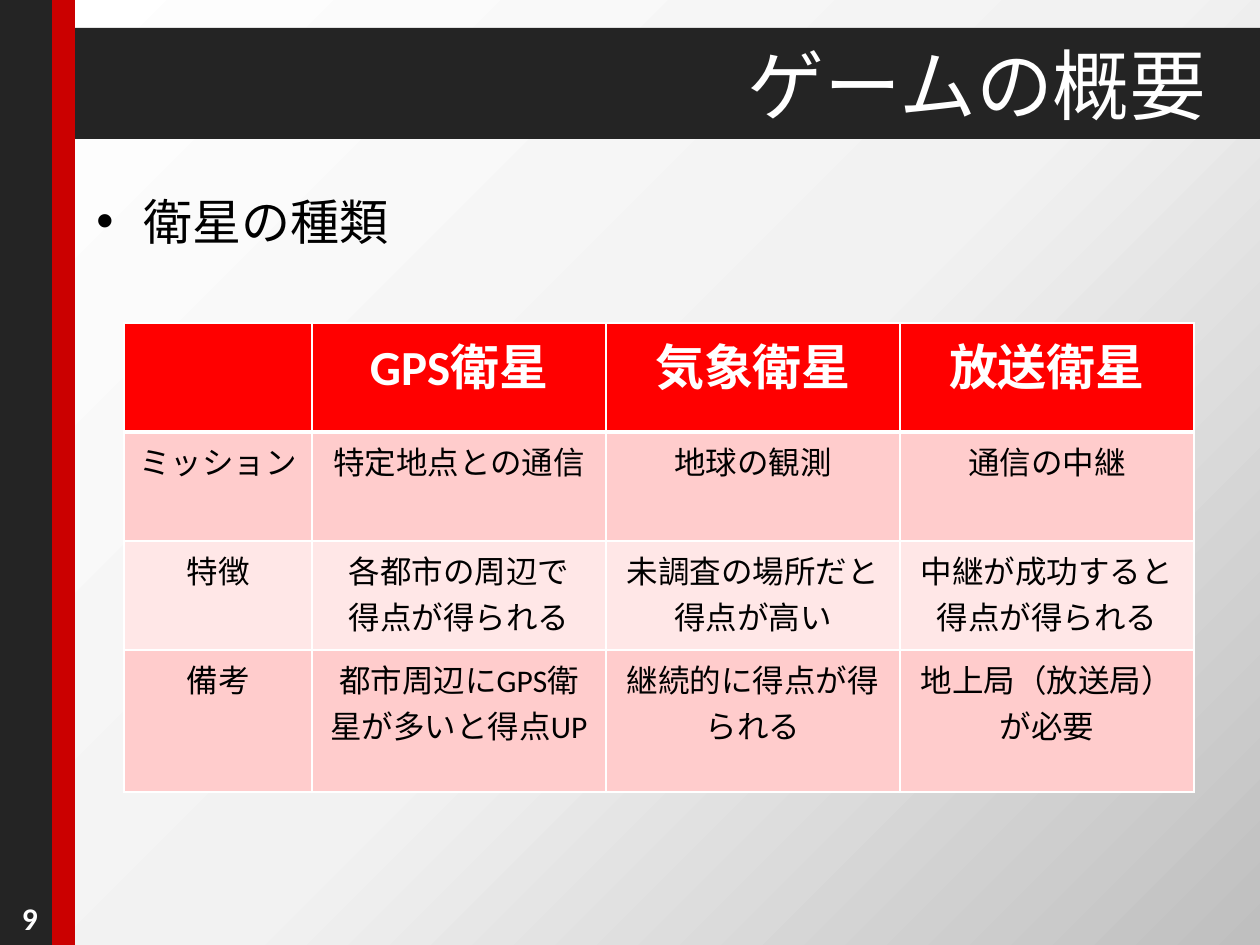
"""Build a slide that compares the satellite types of a game in a table."""
import pptx
import pptx.dml.color
import pptx.enum.shapes
import pptx.enum.text
import pptx.oxml
import pptx.oxml.ns
import pptx.util

PX = 914400 // 126
FONT = "Calibri"
ALIGN = pptx.enum.text.PP_ALIGN
ANCHOR = pptx.enum.text.MSO_ANCHOR
COLORS = {
    "dark": "242424", "red": "CB0000", "white": "FFFFFF", "black": "000000",
    "header": "FF0000", "odd": "FFCCCC", "even": "FFE7E7",
}
BACKGROUND_STOPS = [(0, "FFFFFF"), (53, "F2F2F2"), (100, "BFBFBF")]
BARS = [
    ((-1, 28, 1261, 111), "dark"),
    ((23, -1, 52, 947), "red"),
    ((-1, 0, 53, 946), "dark"),
]
TITLE = "ゲームの概要"
TITLE_BOX = (83, 28, 1137, 111)
BULLET = "衛星の種類"
BULLET_BOX = (84, 185, 1169, 79)
NUMBER = "9"
NUMBER_BOX = (-8, 893, 76, 50)
TABLE_LEFT, TABLE_TOP = 124, 323
COLUMN_WIDTHS = [188, 294, 294, 294]
ROW_HEIGHTS = [109, 109, 109, 142]
ROWS = [
    ["", "GPS衛星", "気象衛星", "放送衛星"],
    ["ミッション", "特定地点との通信", "地球の観測", "通信の中継"],
    ["特徴", "各都市の周辺で\n得点が得られる", "未調査の場所だと得点が高い",
     "中継が成功すると得点が得られる"],
    ["備考", "都市周辺にGPS衛星が多いと得点UP", "継続的に得点が得られる",
     "地上局（放送局）\nが必要"],
]


def emu(box):
    return [pptx.util.Emu(value * PX) for value in box]


def rgb(name):
    return pptx.dml.color.RGBColor.from_string(COLORS[name])


def xml(tag, attributes="", content=""):
    namespaces = pptx.oxml.ns.nsdecls("a", "p")
    return pptx.oxml.parse_xml(f"<{tag} {namespaces} {attributes}>{content}</{tag}>")


def write(text_frame, text, size, color, align, bold=False):
    text_frame.text = text
    for paragraph in text_frame.paragraphs:
        paragraph.alignment = align
        for run in paragraph.runs:
            run.font.name = FONT
            run.font.size = pptx.util.Pt(size)
            run.font.bold = bold
            run.font.color.rgb = rgb(color)


def add_text(slide, box, *style, anchor=ANCHOR.TOP, bold=False):
    text_frame = slide.shapes.add_textbox(*emu(box)).text_frame
    text_frame.word_wrap = True
    text_frame.vertical_anchor = anchor
    write(text_frame, *style, bold=bold)
    return text_frame.paragraphs[0]


def set_background(slide):
    stops = "".join(
        f'<a:gs pos="{position * 1000}"><a:srgbClr val="{color}"/></a:gs>'
        for position, color in BACKGROUND_STOPS)
    gradient = (f'<a:gradFill rotWithShape="1"><a:gsLst>{stops}</a:gsLst>'
                '<a:path path="circle"><a:fillToRect r="100000" b="100000"/></a:path>'
                '</a:gradFill><a:effectLst/>')
    slide.element.cSld.insert(0, xml("p:bg", "", f"<p:bgPr>{gradient}</p:bgPr>"))


def add_bars(slide):
    for box, color in BARS:
        bar = slide.shapes.add_shape(pptx.enum.shapes.MSO_SHAPE.RECTANGLE, *emu(box))
        bar.shadow.inherit = False
        bar.fill.solid()
        bar.fill.fore_color.rgb = rgb(color)
        bar.line.fill.background()


def set_title(slide):
    title = slide.shapes.title
    title.left, title.top, title.width, title.height = emu(TITLE_BOX)
    title.text_frame.auto_size = pptx.enum.text.MSO_AUTO_SIZE.NONE
    title.text_frame.vertical_anchor = ANCHOR.MIDDLE
    write(title.text_frame, TITLE, 44, "white", ALIGN.RIGHT)
    slide.shapes.element.append(title.element)


def add_bullet(slide):
    paragraph = add_text(slide, BULLET_BOX, BULLET, 28, "black", ALIGN.LEFT)
    properties = paragraph.element.get_or_add_pPr() if hasattr(paragraph, "element") \
        else paragraph._p.get_or_add_pPr()
    indent = 47 * PX
    properties.set("marL", str(indent))
    properties.set("indent", str(-indent))
    properties.append(xml("a:spcBef", "", '<a:spcPct val="20000"/>'))
    properties.append(xml("a:buFont", 'typeface="Arial"'))
    properties.append(xml("a:buChar", 'char="•"'))


def set_borders(cell, bottom):
    properties = cell._tc.get_or_add_tcPr()
    fill = f'<a:solidFill><a:srgbClr val="{COLORS["white"]}"/></a:solidFill>'
    widths = {"lnL": 1, "lnR": 1, "lnT": 1, "lnB": bottom}
    for index, (side, width) in enumerate(widths.items()):
        properties.insert(index, xml(f"a:{side}", f'w="{pptx.util.Pt(width)}"', fill))


def add_table(slide):
    box = (TABLE_LEFT, TABLE_TOP, sum(COLUMN_WIDTHS), sum(ROW_HEIGHTS))
    table = slide.shapes.add_table(len(ROWS), len(COLUMN_WIDTHS), *emu(box)).table
    for column, width in zip(table.columns, COLUMN_WIDTHS):
        column.width = pptx.util.Emu(width * PX)
    for index, (row, height, texts) in enumerate(zip(table.rows, ROW_HEIGHTS, ROWS)):
        row.height = pptx.util.Emu(height * PX)
        header = index == 0
        fill = "header" if header else "odd" if index % 2 else "even"
        size, color = (28, "white") if header else (18, "black")
        for cell, text in zip(row.cells, texts):
            write(cell.text_frame, text, size, color, ALIGN.CENTER, bold=header)
            cell.fill.solid()
            cell.fill.fore_color.rgb = rgb(fill)
            set_borders(cell, 3 if header else 1)


def main():
    presentation = pptx.Presentation()
    presentation.slide_width, presentation.slide_height = emu((1260, 945))
    slide = presentation.slides.add_slide(presentation.slide_layouts[5])
    set_background(slide)
    add_bars(slide)
    set_title(slide)
    add_bullet(slide)
    add_table(slide)
    add_text(slide, NUMBER_BOX, NUMBER, 18, "white", ALIGN.CENTER,
             anchor=ANCHOR.MIDDLE, bold=True)
    presentation.save("out.pptx")


if __name__ == "__main__":
    main()
